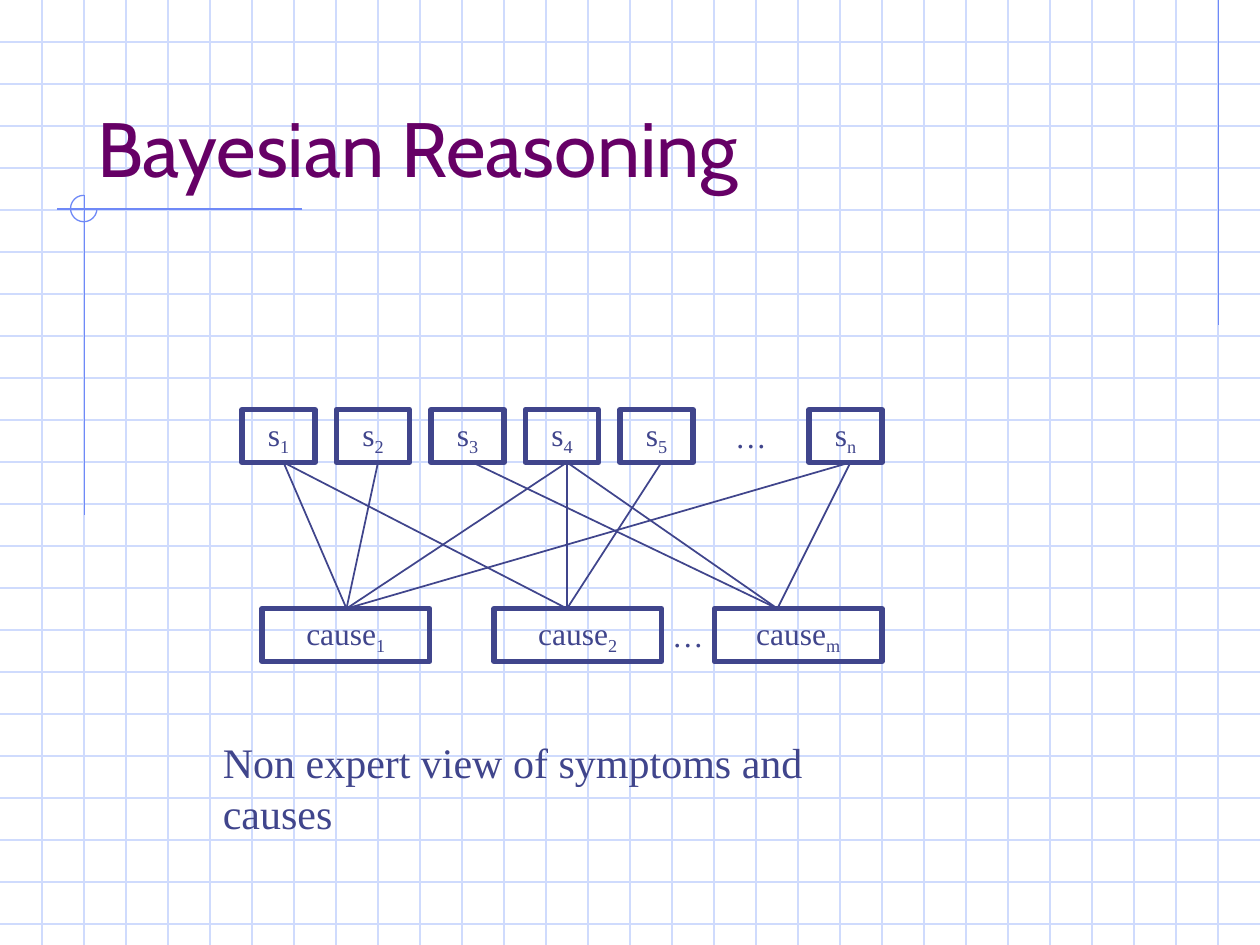
import pptx
import pptx.util
import pptx.dml.color
import pptx.enum.shapes
import pptx.enum.text
import pptx.oxml.ns
import lxml.etree

Inches = pptx.util.Inches
Pt = pptx.util.Pt
SHAPE = pptx.enum.shapes.MSO_SHAPE
ALIGN = pptx.enum.text.PP_ALIGN
ANCHOR = pptx.enum.text.MSO_ANCHOR
FIT = pptx.enum.text.MSO_AUTO_SIZE

COLORS = {"grid": "CFDBFD", "accent": "6F89F7", "ink": "40458C", "title": "660066"}
FONTS = {
    "title": {"name": "Cabin", "size": Pt(44), "bold": False},
    "label": {"name": "Times New Roman", "size": Pt(18)},
    "note": {"name": "Times New Roman", "size": Pt(24)},
}
FRAMES = {
    "title": {"vertical_anchor": ANCHOR.BOTTOM, "word_wrap": True, "auto_size": FIT.NONE},
    "label": {"vertical_anchor": ANCHOR.MIDDLE, "word_wrap": False},
    "note": {"vertical_anchor": ANCHOR.TOP, "word_wrap": False,
             "auto_size": FIT.SHAPE_TO_FIT_TEXT},
}


class Board:
    def __init__(self, slide):
        self.slide = slide
        self.shapes = slide.shapes

    def color(self, key):
        return pptx.dml.color.RGBColor.from_string(COLORS[key])

    def apply(self, target, values):
        for name, value in values.items():
            setattr(target, name, value)

    def stroke(self, shape, key, width):
        shape.line.color.rgb = self.color(key)
        shape.line.width = Pt(width)

    def label(self, shape, style, text, sub="", align=ALIGN.LEFT, key="ink"):
        self.apply(shape.text_frame, FRAMES[style])
        para = shape.text_frame.paragraphs[0]
        para.alignment = align
        for part in filter(None, (text, sub)):
            run = para.add_run()
            run.text = part
            self.apply(run.font, FONTS[style])
            run.font.color.rgb = self.color(key)
        if sub:
            run.font._element.set("baseline", "-25000")

    def title(self, text, *place):
        shape = self.shapes.title
        self.apply(shape, dict(zip(("left", "top", "width", "height"), map(Inches, place))))
        self.label(shape, "title", text, key="title")
        self.shapes.element.append(shape.element)

    def line(self, start, end, key, width):
        link = self.shapes.add_connector(
            pptx.enum.shapes.MSO_CONNECTOR.STRAIGHT, *map(Inches, (*start, *end)))
        self.stroke(link, key, width)
        lxml.etree.SubElement(link.element.spPr, pptx.oxml.ns.qn("a:effectLst"))

    def shape(self, kind, place, key, width):
        shape = self.shapes.add_shape(kind, *map(Inches, place))
        shape.shadow.inherit = False
        shape.fill.background()
        self.stroke(shape, key, width)
        return shape

    def arc(self, *place):
        arc = self.shape(SHAPE.ARC, place, "accent", 0.75)
        arc.adjustments[0] = 0
        arc.adjustments[1] = 162

    def box(self, text, sub, *place):
        box = self.shape(SHAPE.RECTANGLE, place, "ink", 3)
        self.label(box, "label", text, sub, ALIGN.CENTER)

    def text(self, text, style, align, *place):
        box = self.shapes.add_textbox(*map(Inches, place))
        self.label(box, style, text, align=align)


def main():
    deck = pptx.Presentation()
    deck.slide_width, deck.slide_height = Inches(10), Inches(7.5)
    board = Board(deck.slides.add_slide(deck.slide_layouts[5]))

    for step in range(1, 23):
        board.line((0, step / 3), (10, step / 3), "grid", 0.75)
    for step in range(1, 30):
        board.line((step / 3, 0), (step / 3, 7.5), "grid", 0.75)
    for start, end in (((9.67, 0), (9.67, 2.58)), ((2.4, 1.66), (0.45, 1.66)),
                       ((0.67, 1.55), (0.67, 4.09))):
        board.line(start, end, "accent", 0.75)
    board.arc(0.56, 1.55, 0.21, 0.21)
    board.title("Bayesian Reasoning", 0.67, 0.33, 8.5, 1.25)

    high, low, tall, small, wide = 3.25, 4.83, 0.42, 0.58, 1.33
    for spot, sub in enumerate(("1", "2", "3", "4", "5", "", "n")):
        place = (1.92 + 0.75 * spot, high, small, tall)
        if sub:
            board.box("s", sub, *place)
        else:
            board.text("…", "label", ALIGN.CENTER, *place)
    for left, sub in ((2.08, "1"), (3.92, "2"), (5.67, "m")):
        board.box("cause", sub, left, low, wide, tall)

    ends = {"1": 2.75, "2": 4.5, "m": 6.17}
    links = {2.25: "12", 3: "1", 3.75: "m", 4.5: "12m", 5.25: "2", 6.75: "1m"}
    for start, subs in links.items():
        for sub in subs:
            board.line((start, high + tall), (ends[sub], low), "ink", 1)

    board.text("Non expert view of symptoms and causes", "note", ALIGN.LEFT,
               1.67, 5.8, 5.75, 0.5)
    board.text("…", "label", ALIGN.CENTER, 5.17, low, small, tall)
    deck.save("out.pptx")


if __name__ == "__main__":
    main()
